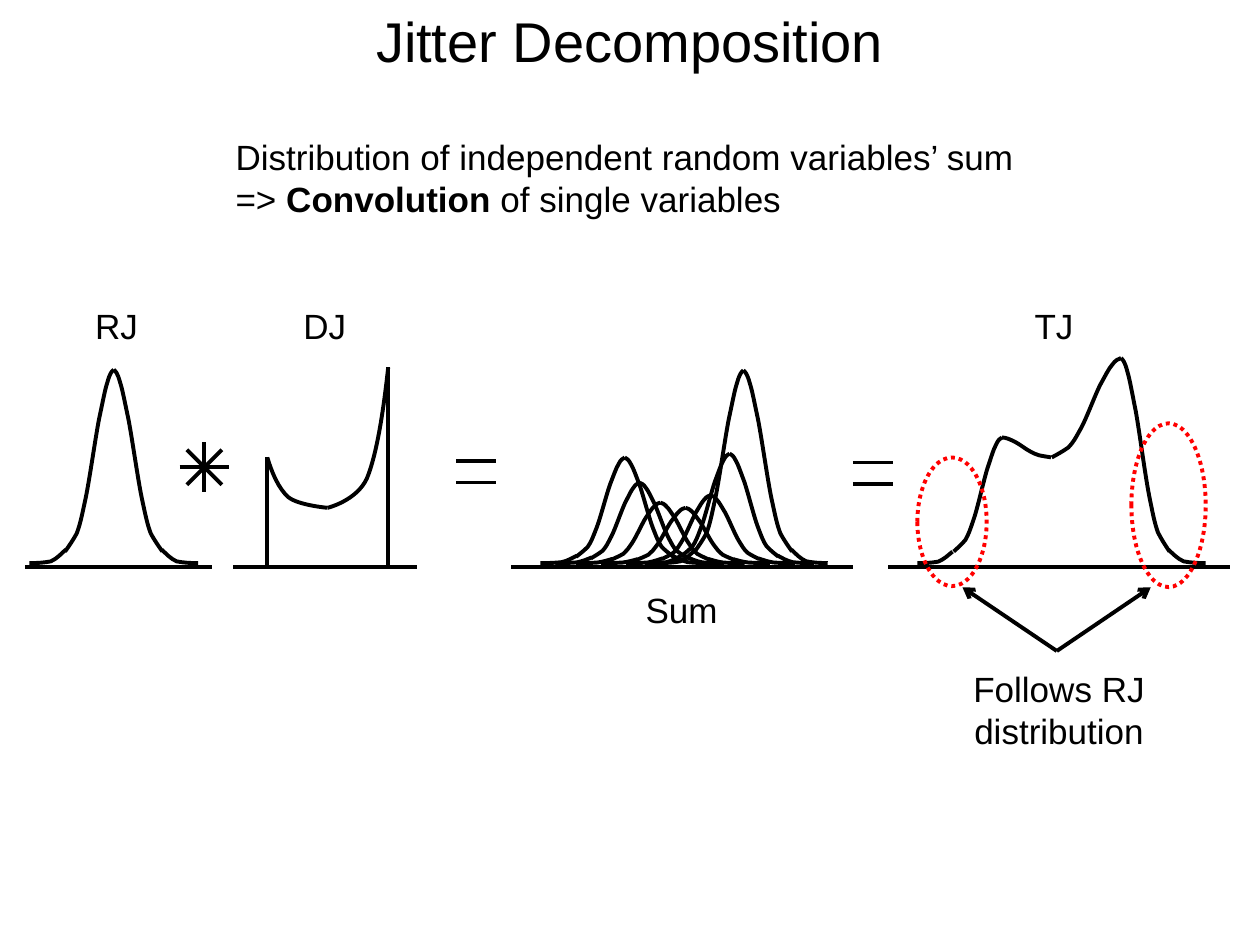
"""Build the jitter decomposition slide."""
from dataclasses import dataclass

from lxml.etree import SubElement
from pptx import Presentation
from pptx.dml.color import RGBColor
from pptx.enum.dml import MSO_LINE
from pptx.enum.shapes import MSO_CONNECTOR, MSO_SHAPE
from pptx.enum.text import MSO_AUTO_SIZE, PP_ALIGN
from pptx.oxml.ns import qn
from pptx.util import Pt


@dataclass(frozen=True)
class Theme:
    """Colours, type sizes and line weight of the slide."""
    ink: RGBColor = RGBColor(0, 0, 0)
    accent: RGBColor = RGBColor(255, 0, 0)
    font: str = "Arial"
    title_size: int = 32
    body_size: int = 20
    line_width: float = 2.25


THEME = Theme()
AXIS = 324
TAIL_FLOOR = 321.8

RISE = [(0, 0), (0.08, 0.03), (0.16, 0.06), (0.24, 0.1),
        (0.31, 0.15), (0.34, 0.19), (0.42, 0.29),
        (0.5, 0.39), (0.62, 0.62), (0.7, 0.73),
        (0.78, 0.83), (0.82, 0.89), (0.87, 0.93),
        (0.92, 0.98), (0.96, 0.99), (1, 1)]
TAIL = [(0, 0), (0.12, 0.3), (0.24, 0.67), (0.41, 0.87),
        (0.59, 0.97), (0.79, 1), (1, 1)]
SAG = [(0, 0), (0.08, 0.32), (0.19, 0.62), (0.35, 0.79),
       (0.52, 0.95), (1, 1), (1, 1)]

SUM_PEAKS = [(357, 261.4), (424.8, 211.6), (391.7, 290.2), (377.3, 287.2),
             (365.5, 275.8), (406, 283), (416.9, 259.2)]
TOTAL_CURVES = [
    (RISE, (545, 315.2), (572.6, 250)),
    (TAIL, (544.3, 315.2), (524.2, TAIL_FLOOR)),
    (RISE, (600.6, 261.4), (572.6, 250)),
    (RISE, (601, 261.4), (640.6, 204.6)),
    (RISE, (668.3, 315.2), (640.6, 204.6)),
    (TAIL, (667.6, 314), (689, TAIL_FLOOR)),
]


def add_text(slide, box, paragraphs, size=THEME.body_size, alignment=PP_ALIGN.CENTER):
    """Add a text box whose paragraphs are lists of (text, bold) runs."""
    shape = slide.shapes.add_textbox(*map(Pt, box))
    frame = shape.text_frame
    frame.word_wrap = True
    frame.auto_size = MSO_AUTO_SIZE.SHAPE_TO_FIT_TEXT
    for index, runs in enumerate(paragraphs):
        paragraph = frame.add_paragraph() if index else frame.paragraphs[0]
        paragraph.alignment = alignment
        for text, bold in runs:
            run = paragraph.add_run()
            run.text = text
            run.font.name = THEME.font
            run.font.size = Pt(size)
            run.font.bold = bold
            run.font.color.rgb = THEME.ink


def set_line(line, color=THEME.ink):
    """Give a line its colour and weight."""
    line.color.rgb = color
    line.width = Pt(THEME.line_width)


def add_line(shapes, start, end, arrow=False):
    """Add a straight line, with an optional arrowhead at its start."""
    connector = shapes.add_connector(MSO_CONNECTOR.STRAIGHT, *map(Pt, start + end))
    set_line(connector.line)
    if arrow:
        SubElement(connector._element.spPr.find(qn("a:ln")), qn("a:headEnd"), type="arrow")
    SubElement(connector._element.spPr, qn("a:effectLst"))


def smooth_outline(curve):
    """Turn each three straight segments of an outline into one cubic curve."""
    outline = next(curve._element.iter(qn("a:pathLst")))[0]
    segments = outline.findall(qn("a:lnTo"))
    for first in range(0, len(segments), 3):
        cubic = SubElement(outline, qn("a:cubicBezTo"))
        for segment in segments[first:first + 3]:
            cubic.append(segment[0])
            outline.remove(segment)


def add_curve(shapes, profile, start, end):
    """Add a unit profile stretched between two points."""
    points = [tuple(Pt(a + (b - a) * unit) for a, b, unit in zip(start, end, point))
              for point in profile]
    builder = shapes.build_freeform(*points[0])
    builder.add_line_segments(points[1:], close=False)
    curve = builder.convert_to_shape()
    smooth_outline(curve)
    curve.fill.background()
    curve.shadow.inherit = False
    set_line(curve.line)


def add_bell(slide, peak):
    """Add a grouped bell curve with its peak at the given point."""
    shapes = slide.shapes.add_group_shape().shapes
    x, y = peak
    height = TAIL_FLOOR - y
    for side in (-1, 1):
        add_curve(shapes, RISE, (x + side * 27.8, TAIL_FLOOR - 0.06 * height), peak)
        add_curve(shapes, TAIL, (x + side * 27.4, TAIL_FLOOR - 0.07 * height),
                  (x + side * 48.2, TAIL_FLOOR))


def add_star(slide, x, y):
    """Add the convolution star around a centre."""
    shapes = slide.shapes.add_group_shape().shapes
    for dx, dy in ((14.2, 0), (10, 10), (0, 14.2), (-10, 10)):
        add_line(shapes, (x - dx, y - dy), (x + dx, y + dy))


def add_equals(slide, x, y):
    """Add an equals sign from its upper left corner."""
    for level in (y, y + 12.2):
        add_line(slide.shapes, (x, level), (x + 23, level))


def add_highlight(slide, box):
    """Add a dotted ellipse around a tail."""
    ellipse = slide.shapes.add_shape(MSO_SHAPE.OVAL, *map(Pt, box))
    ellipse.fill.background()
    ellipse.shadow.inherit = False
    set_line(ellipse.line, THEME.accent)
    ellipse.line.dash_style = MSO_LINE.ROUND_DOT


def add_deterministic(slide):
    """Add the bounded deterministic jitter curve."""
    for x, top in ((152.8, 261.4), (221.8, 210)):
        add_line(slide.shapes, (x, top), (x, AXIS))
        add_curve(slide.shapes, SAG, (x, top), (187.2, 290.2))


def add_pointers(slide):
    """Add the two arrows from the note to the tails."""
    shapes = slide.shapes.add_group_shape().shapes
    for x in (550, 657.6):
        add_line(shapes, (x, 335.6), (603.9, 372), arrow=True)


def main():
    """Build and save the presentation."""
    presentation = Presentation()
    presentation.slide_width, presentation.slide_height = Pt(720), Pt(540)
    slide = presentation.slides.add_slide(presentation.slide_layouts[6])

    add_text(slide, (0, 0, 720, 46), [[("Jitter Decomposition", False)]], THEME.title_size)
    add_text(slide, (127.5, 74, 481, 55.6),
             [[("Distribution of independent random variables’ sum", False)],
              [("=> ", False), ("Convolution", True), (" of single variables", False)]],
             alignment=PP_ALIGN.LEFT)
    for text, box in (("RJ", (39.6, 170.6, 54, 31.6)),
                      ("DJ", (158.6, 170.6, 54, 31.6)),
                      ("TJ", (575.3, 170.6, 54, 31.6)),
                      ("Sum", (351.4, 332.6, 76.3, 31.6)),
                      ("Follows RJ distribution", (535.7, 378, 139, 55.6))):
        add_text(slide, box, [[(text, False)]])

    for left, right in ((14.4, 121), (133.2, 238.3), (292.3, 487.4), (507.6, 702.7)):
        add_line(slide.shapes, (right, AXIS), (left, AXIS))
    for peak in [(65, 211.2)] + SUM_PEAKS:
        add_bell(slide, peak)
    add_deterministic(slide)
    for profile, start, end in TOTAL_CURVES:
        add_curve(slide.shapes, profile, start, end)

    add_star(slide, 116.8, 267)
    add_equals(slide, 260.6, 263.5)
    add_equals(slide, 487.4, 264.3)
    add_highlight(slide, (524.2, 261.4, 39.6, 73.5))
    add_highlight(slide, (646.5, 241.9, 42.5, 93.6))
    add_pointers(slide)
    presentation.save("out.pptx")


if __name__ == "__main__":
    main()
